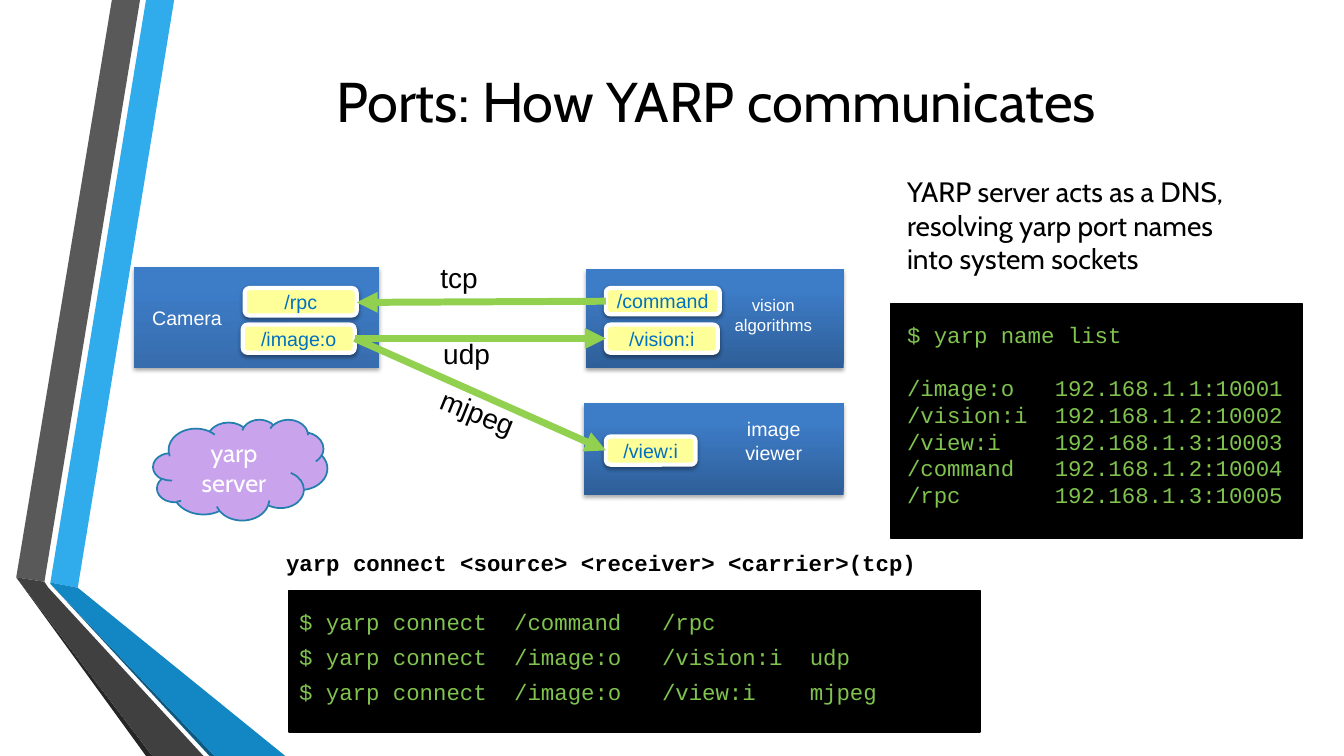
import pptx
import pptx.dml.color
import pptx.enum.shapes
import pptx.enum.text
import pptx.oxml.ns
import pptx.util
from lxml import etree
from pptx.util import Cm, Pt

ALIGN = pptx.enum.text.PP_ALIGN
ANCHOR = pptx.enum.text.MSO_ANCHOR
SHAPE = pptx.enum.shapes.MSO_SHAPE
qn = pptx.oxml.ns.qn

COLORS = {
    "black": "000000", "white": "FFFFFF",
    "sky": "30ACEC", "ocean": "1287C3", "navy": "0C5A82",
    "gray": "595959", "charcoal": "404040", "soot": "262626",
    "module_low": "2F5F99", "camera_low": "376DAE", "module_high": "3D7CC7",
    "port": "FFFF99", "port_text": "0070C0", "link": "92D050",
    "cloud": "CAA3ED", "cloud_edge": "247FAF", "terminal_text": "80C34F",
}

RIBBONS = [
    ("sky", [(1.27, 14.68), (1.96, 14.81), (4.39, 0), (3.68, 0)]),
    ("gray", [(3.53, 0), (2.82, 0), (0.41, 14.55), (1.12, 14.66)]),
    ("soot", [(0.41, 14.55), (3.68, 19.05), (3.84, 19.05)]),
    ("navy", [(1.27, 14.71), (5.28, 19.05), (5.41, 19.05)]),
    ("ocean", [(1.27, 14.71), (5.41, 19.05), (7.19, 19.05), (1.96, 14.81),
               (1.27, 14.68)]),
    ("charcoal", [(5.13, 19.05), (1.22, 14.81), (1.12, 14.66), (0.41, 14.55),
                  (3.84, 19.05)]),
]
MODULES = [
    ("module_low", (14.76, 6.78, 6.5, 2.49)),
    ("camera_low", (3.38, 6.73, 6.17, 2.54)),
    ("module_low", (14.71, 10.16, 6.55, 2.31)),
]
MODULE_LABELS = [
    ("vision\nalgorithms", (18.08, 7.29, 2.82, 1.27), 12),
    ("Camera", (3.56, 7.59, 2.31, 0.86), 14),
    ("image\nviewer", (18.14, 10.39, 2.72, 1.45), 14),
]
PORTS = [
    ("/vision:i", (15.27, 8.18, 2.82, 0.71)),
    ("/image:o", (6.12, 8.18, 2.82, 0.71)),
    ("/view:i", (15.27, 11.0, 2.26, 0.71)),
    ("/rpc", (6.17, 7.26, 2.82, 0.69)),
    ("/command", (15.27, 7.26, 2.87, 0.66)),
]
LINKS = [
    ((8.94, 8.53), (15.27, 8.53)),
    ((8.94, 8.53), (15.27, 11.35)),
    ((15.27, 7.59), (8.99, 7.62)),
]
CARRIERS = [
    ("udp", (10.92, 8.36, 1.8, 1.12), 0),
    ("mjpeg", (10.82, 9.86, 2.57, 1.12), 22.1),
    ("tcp", (10.85, 6.43, 1.68, 1.12), 0),
]
NAME_LIST = "\n".join([
    "$ yarp name list",
    "/image:o\t192.168.1.1:10001",
    "/vision:i\t192.168.1.2:10002",
    "/view:i\t192.168.1.3:10003",
    "/command\t192.168.1.2:10004",
    "/rpc\t192.168.1.3:10005",
])
CONNECT_COMMANDS = [
    "$ yarp connect\t/command\t/rpc",
    "$ yarp connect\t/image:o\t/vision:i\tudp",
    "$ yarp connect\t/image:o\t/view:i\tmjpeg",
]
MONO_CHAR = Pt(9.6)  # advance of one 16 pt Courier New character


def rgb(color):
    return pptx.dml.color.RGBColor.from_string(COLORS[color])


def cm(box):
    return [Cm(length) for length in box]


def write(shape, text, *, size, font="Arial", color="black", bold=False,
          align=ALIGN.LEFT, anchor=ANCHOR.TOP, wrap=True, leading=None,
          columns=()):
    """Fill a shape with text, one paragraph a line; columns are tab stops in characters."""
    frame = shape.text_frame
    frame.word_wrap = wrap
    frame.vertical_anchor = anchor
    frame.text = text
    for paragraph in frame.paragraphs:
        paragraph.alignment = align
        paragraph.line_spacing = leading
        paragraph.font.size = Pt(size)
        for run in paragraph.runs:
            run.font.size = Pt(size)
            run.font.name = font
            run.font.bold = bold
            run.font.color.rgb = rgb(color)
        if columns:
            properties = paragraph._p.get_or_add_pPr()
            stops = etree.Element(qn("a:tabLst"))
            for column in columns:
                etree.SubElement(stops, qn("a:tab"),
                                 pos=str(column * MONO_CHAR), algn="l")
            defaults = properties.find(qn("a:defRPr"))
            defaults.addprevious(stops)
    return frame


def add_text(slide, box, text, rotation=0, **text_format):
    label = slide.shapes.add_textbox(*cm(box))
    label.rotation = rotation
    return write(label, text, **text_format)


def add_block(slide, kind, box, fill=None, edge=None, edge_width=1.25):
    block = slide.shapes.add_shape(kind, *cm(box))
    block.shadow.inherit = False
    if fill:
        block.fill.solid()
        block.fill.fore_color.rgb = rgb(fill)
    if edge:
        block.line.color.rgb = rgb(edge)
        block.line.width = Pt(edge_width)
    else:
        block.line.fill.background()
    return block


def drop_shadow(shape, distance, opacity):
    effects = shape._element.spPr.find(qn("a:effectLst"))
    shadow = etree.SubElement(effects, qn("a:outerShdw"), blurRad=str(Pt(3.1)),
                              dist=str(Pt(distance)), dir="5400000", rotWithShape="0")
    tint = etree.SubElement(shadow, qn("a:srgbClr"), val=COLORS["black"])
    etree.SubElement(tint, qn("a:alpha"), val=str(opacity * 1000))


def add_ribbon(slide, color, corners):
    start, *others = [tuple(cm(corner)) for corner in corners]
    builder = slide.shapes.build_freeform(*start)
    builder.add_line_segments(others, close=True)
    ribbon = builder.convert_to_shape()
    ribbon.shadow.inherit = False
    ribbon.fill.solid()
    ribbon.fill.fore_color.rgb = rgb(color)
    ribbon.line.fill.background()


def add_module(slide, low_color, box):
    module = add_block(slide, SHAPE.RECTANGLE, box)
    module.fill.gradient()
    module.fill.gradient_angle = 90
    stops = zip(module.fill.gradient_stops, (0, 0.8), (low_color, "module_high"))
    for stop, position, color in stops:
        stop.position = position
        stop.color.rgb = rgb(color)
    drop_shadow(module, 1.8, 35)


def add_port(slide, name, box):
    port = add_block(slide, SHAPE.ROUNDED_RECTANGLE, box, "port", "white", 3)
    drop_shadow(port, 1.6, 38)
    write(port, name, size=14, color="port_text", align=ALIGN.CENTER,
          anchor=ANCHOR.MIDDLE, wrap=False)


def add_link(slide, source, receiver):
    link = slide.shapes.add_connector(pptx.enum.shapes.MSO_CONNECTOR.STRAIGHT,
                                      *cm(source + receiver))
    link.line.color.rgb = rgb("link")
    link.line.width = Pt(5)
    etree.SubElement(link.line._get_or_add_ln(), qn("a:tailEnd"), type="triangle")
    etree.SubElement(link._element.spPr, qn("a:effectLst"))


def main():
    deck = pptx.Presentation()
    deck.slide_width, deck.slide_height = Cm(33.87), Cm(19.05)
    slide = deck.slides.add_slide(deck.slide_layouts[5])

    for color, corners in RIBBONS:
        add_ribbon(slide, color, corners)

    title = slide.shapes.title
    title.left, title.top, title.width, title.height = cm((4.14, 0.08, 27.81, 4.88))
    write(title, "Ports: How YARP communicates", size=40, font="Cabin",
          align=ALIGN.CENTER, anchor=ANCHOR.MIDDLE)
    add_text(slide, (22.61, 4.27, 9.25, 2.82),
             "YARP server acts as a DNS, resolving yarp port names into system sockets",
             size=20, font="Cabin")

    for low_color, box in MODULES:
        add_module(slide, low_color, box)
    for label, box, size in MODULE_LABELS:
        add_text(slide, box, label, size=size, color="white", align=ALIGN.CENTER)
    for name, box in PORTS:
        add_port(slide, name, box)
    for source, receiver in LINKS:
        add_link(slide, source, receiver)
    for carrier, box, rotation in CARRIERS:
        add_text(slide, box, carrier, rotation, size=20)

    server = add_block(slide, SHAPE.CLOUD, (3.86, 10.57, 4.39, 2.54), "cloud", "cloud_edge")
    write(server, "yarp server", size=18, font="Cabin", color="white",
          align=ALIGN.CENTER, anchor=ANCHOR.MIDDLE)

    mono = {"size": 16, "font": "Courier New"}
    add_text(slide, (6.96, 13.72, 21.82, 0.94),
             "yarp connect <source> <receiver> <carrier>(tcp)", bold=True, **mono)

    add_block(slide, SHAPE.RECTANGLE, (22.45, 7.65, 10.36, 5.92), "black", "black")
    names = add_text(slide, (22.61, 7.98, 10.31, 5.74), NAME_LIST,
                     color="terminal_text", leading=Pt(19), columns=[11], **mono)
    names.paragraphs[0].space_after = Pt(19)

    add_block(slide, SHAPE.RECTANGLE, (7.29, 14.88, 17.4, 3.56), "black", "black")
    for row, command in enumerate(CONNECT_COMMANDS):
        add_text(slide, (7.29, 15.19 + 0.89 * row, 18.06, 0.94), command,
                 color="terminal_text", columns=[16, 27, 38], **mono)

    deck.save("out.pptx")


if __name__ == "__main__":
    main()
